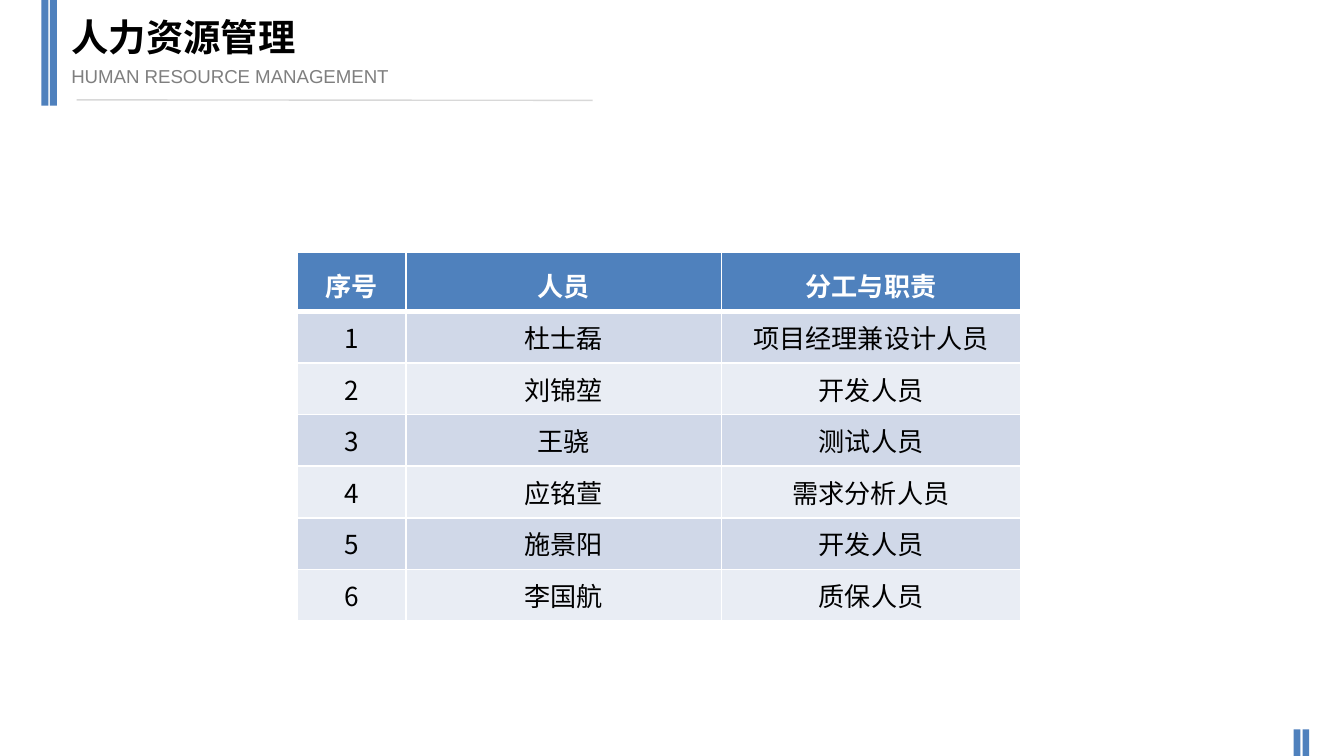
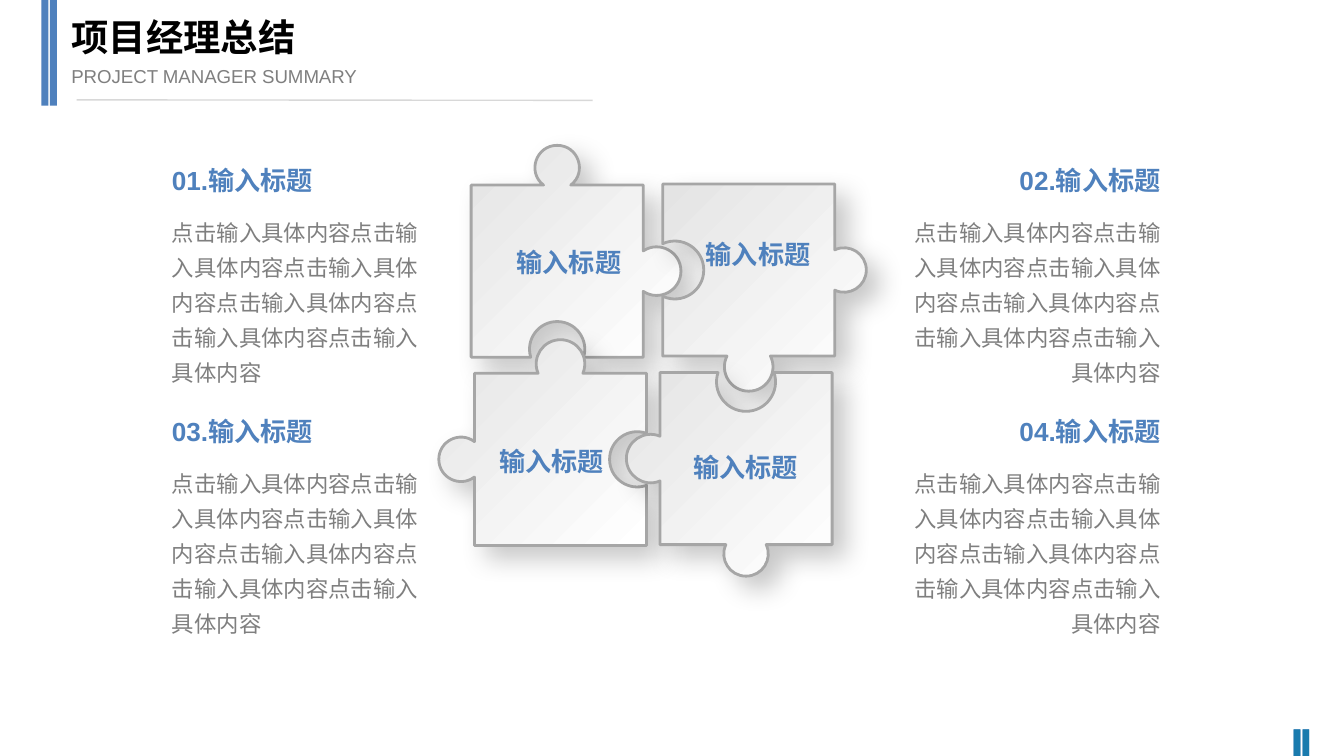
"""Build two project slides: a staffing table and a four-piece puzzle summary."""
from math import acos, cos, pi, sin, tan

from lxml.etree import SubElement
from pptx import Presentation
from pptx.dml.color import RGBColor
from pptx.enum.shapes import MSO_CONNECTOR, MSO_SHAPE
from pptx.enum.text import MSO_ANCHOR, MSO_AUTO_SIZE, PP_ALIGN
from pptx.oxml import parse_xml
from pptx.oxml.ns import nsdecls, qn
from pptx.util import Pt

BLUE = RGBColor(0x4F, 0x81, 0xBD)
TEAL = RGBColor(0x1A, 0x7B, 0xAE)
BLACK = RGBColor(0, 0, 0)
WHITE = RGBColor(0xFF, 0xFF, 0xFF)
TEXT_GREY = RGBColor(0x7F, 0x7F, 0x7F)
RULE_GREY = RGBColor(0xD8, 0xD8, 0xD8)
EDGE_GREY = RGBColor(0xA6, 0xA6, 0xA6)
PIECE_GREY = RGBColor(0xE4, 0xE4, 0xE4)
ROW_DARK = RGBColor(0xD0, 0xD8, 0xE8)
ROW_LIGHT = RGBColor(0xE9, 0xED, 0xF4)
LATIN_FONT = "Arial"
CJK_FONT = "Noto Sans CJK SC"


def write(frame, text, size, color, bold=False, align=PP_ALIGN.LEFT, font=LATIN_FONT):
    paragraph = frame.paragraphs[0]
    paragraph.alignment = align
    run = paragraph.add_run()
    run.text = text
    run.font.size = Pt(size)
    run.font.name = font
    run.font.bold = bold
    run.font.color.rgb = color
    return paragraph


def add_text_box(slide, left, top, width, height):
    frame = slide.shapes.add_textbox(Pt(left), Pt(top), Pt(width), Pt(height)).text_frame
    frame.word_wrap = True
    frame.auto_size = MSO_AUTO_SIZE.SHAPE_TO_FIT_TEXT
    return frame


presentation = Presentation()
presentation.slide_width = Pt(720)
presentation.slide_height = Pt(405)
header_layout = presentation.slide_layouts[2]
staff_slide = presentation.slides.add_slide(header_layout)
summary_slide = presentation.slides.add_slide(header_layout)
layout_tree = header_layout.shapes._spTree

HEADER_BARS = [(22.2, 0, 3.8, 56.7), (26.8, 0, 3.8, 56.7)]
CORNER_BARS = [(693, 390.8, 3.6, 14.2), (697.8, 390.8, 3.6, 14.2)]
BAR_SETS = [
    (staff_slide, HEADER_BARS + CORNER_BARS, BLUE, True),
    (summary_slide, CORNER_BARS, TEAL, False),
]
for slide, bars, color, is_shared in BAR_SETS:
    for left, top, width, height in bars:
        bar = slide.shapes.add_shape(MSO_SHAPE.RECTANGLE, Pt(left), Pt(top), Pt(width), Pt(height))
        bar.shadow.inherit = False
        bar.fill.solid()
        bar.fill.fore_color.rgb = color
        bar.line.fill.background()
        if is_shared:
            layout_tree.append(bar._element)

rule = staff_slide.shapes.add_connector(MSO_CONNECTOR.STRAIGHT, Pt(41), Pt(53.5), Pt(317.5), Pt(53.8))
rule.line.color.rgb = RULE_GREY
rule.line.width = Pt(0.75)
SubElement(rule._element.spPr, qn("a:effectLst"))
layout_tree.append(rule._element)

HEADINGS = [
    (staff_slide, "人力资源管理", "HUMAN RESOURCE MANAGEMENT"),
    (summary_slide, "项目经理总结", "PROJECT MANAGER SUMMARY"),
]
for slide, title, subtitle in HEADINGS:
    heading_places = [
        (slide.shapes.title, title, 4.2, 291, 36, 20, BLACK, True, MSO_ANCHOR.TOP),
        (slide.placeholders[1], subtitle, 31, 227, 19.4, 10, TEXT_GREY, False, MSO_ANCHOR.MIDDLE),
    ]
    for shape, text, top, width, height, size, color, bold, anchor in heading_places:
        shape.left, shape.top, shape.width, shape.height = Pt(31), Pt(top), Pt(width), Pt(height)
        frame = shape.text_frame
        frame.auto_size = MSO_AUTO_SIZE.NONE
        frame.vertical_anchor = anchor
        write(frame, text, size, color, bold).space_before = Pt(0)

STAFF = [
    ("序号", "人员", "分工与职责"),
    ("1", "杜士磊", "项目经理兼设计人员"),
    ("2", "刘锦堃", "开发人员"),
    ("3", "王骁", "测试人员"),
    ("4", "应铭萱", "需求分析人员"),
    ("5", "施景阳", "开发人员"),
    ("6", "李国航", "质保人员"),
]
COLUMN_WIDTHS = [58.3, 169, 160.2]
HEADER_HEIGHT, ROW_HEIGHT = 31.5, 27.65
staff_table = staff_slide.shapes.add_table(
    len(STAFF), len(COLUMN_WIDTHS), Pt(159.3), Pt(135.1),
    Pt(sum(COLUMN_WIDTHS)), Pt(HEADER_HEIGHT + ROW_HEIGHT * (len(STAFF) - 1)),
).table
for column, width in zip(staff_table.columns, COLUMN_WIDTHS):
    column.width = Pt(width)
for row_index, values in enumerate(STAFF):
    is_header = row_index == 0
    staff_table.rows[row_index].height = Pt(HEADER_HEIGHT if is_header else ROW_HEIGHT)
    row_color = BLUE if is_header else ROW_DARK if row_index % 2 else ROW_LIGHT
    for column_index, value in enumerate(values):
        cell = staff_table.cell(row_index, column_index)
        paragraph = write(
            cell.text_frame, value, 14, WHITE if is_header else BLACK, is_header,
            PP_ALIGN.CENTER, LATIN_FONT if is_header else CJK_FONT,
        )
        if is_header:
            paragraph.line_spacing = 1.2
        borders = {
            "lnL": 1,
            "lnR": 1,
            "lnT": 3 if row_index == 1 else 1,
            "lnB": 3 if is_header else 1,
        }
        for side, weight in borders.items():
            cell._tc.get_or_add_tcPr().append(parse_xml(
                f'<a:{side} {nsdecls("a")} w="{Pt(weight)}"><a:solidFill>'
                f'<a:srgbClr val="{WHITE}"/></a:solidFill></a:{side}>'
            ))
        cell.fill.solid()
        cell.fill.fore_color.rgb = row_color

PIECE_SIDE = 92.2
DIRECTIONS = {"top": (1, 0), "right": (0, 1), "bottom": (-1, 0), "left": (0, -1)}
PIECES = [
    (252.4, 99.2, {"top": (9.4, 11.9), "right": (7.2, 13), "bottom": (-4.3, 14.8)}, 265.2, 128.6),
    (254.2, 200, {"top": (5, 13), "right": (-5, 14.8), "left": (7.2, 11.9)}, 255.9, 235),
    (355, 98.6, {"right": (5, 11.9), "bottom": (5.8, 13), "left": (-6.5, 15.5)}, 366.6, 124),
    (353.6, 199.6, {"top": (-5, 15.8), "bottom": (5, 11.9), "left": (5, 13)}, 359.8, 238.2),
]
for left, top, knobs, label_left, label_top in PIECES:
    half = PIECE_SIDE / 2
    center_x, center_y = left + half, top + half
    outline, curve_starts = [], []
    for side, (along_x, along_y) in DIRECTIONS.items():
        local_points = [(-half, half)]
        if side in knobs:
            offset, radius = knobs[side]
            direction = 1 if offset > 0 else -1
            reach = pi - acos(abs(offset) / radius)
            handle = 4 / 3 * tan(reach / 4)
            arc = [(-reach, 0), (-reach, handle), (0, -handle), (0, 0),
                   (0, handle), (reach, -handle), (reach, 0)]
            first = len(outline) + 1
            curve_starts += [first + 1, first + 4]
            for angle, pull in arc:
                along = radius * (sin(angle) + pull * cos(angle))
                out = radius * (cos(angle) - pull * sin(angle))
                local_points.append((along, half + offset + direction * out))
        for along, out in local_points:
            outline.append((
                Pt(center_x + along * along_x + out * along_y),
                Pt(center_y + along * along_y - out * along_x),
            ))
    builder = summary_slide.shapes.build_freeform(*outline[0])
    builder.add_line_segments(outline[1:], close=True)
    piece = builder.convert_to_shape()
    segments = list(next(piece._element.iter(qn("a:path"))))
    for start in curve_starts:
        curve = segments[start]
        curve.tag = qn("a:cubicBezTo")
        for segment in segments[start + 1:start + 3]:
            curve.append(segment[0])
            segment.getparent().remove(segment)
    piece.fill.gradient()
    piece.fill.gradient_angle = 315
    for stop, color in zip(piece.fill.gradient_stops, (PIECE_GREY, WHITE)):
        stop.color.rgb = color
    piece.line.color.rgb = EDGE_GREY
    piece.line.width = Pt(1.5)
    piece._element.spPr.append(parse_xml(
        f'<a:effectLst {nsdecls("a")}><a:outerShdw blurRad="{Pt(14)}" dist="{Pt(9)}" '
        f'dir="2700000" algn="tl" rotWithShape="0"><a:srgbClr val="{BLACK}">'
        '<a:alpha val="22000"/></a:srgbClr></a:outerShdw></a:effectLst>'
    ))
    label = add_text_box(summary_slide, label_left, label_top, 79.2, 24.5)
    write(label, "输入标题", 14, BLUE, True, PP_ALIGN.CENTER)

NOTE_TEXT = "点击输入具体内容" * 6
NOTES = [
    ("01", 85, 84.5, PP_ALIGN.LEFT),
    ("03", 85, 219, PP_ALIGN.LEFT),
    ("02", 476.3, 84.5, PP_ALIGN.RIGHT),
    ("04", 476.3, 219, PP_ALIGN.RIGHT),
]
for number, left, top, align in NOTES:
    note_title = add_text_box(summary_slide, left, top, 152.6, 24.5)
    write(note_title, f"{number}.输入标题", 14, BLUE, True, align)
    note_body = add_text_box(summary_slide, left, top + 25.1, 152.6, 100)
    paragraph = write(note_body, NOTE_TEXT, 12, TEXT_GREY, align=align)
    paragraph.line_spacing = 1.3
    paragraph.space_before = Pt(6)

presentation.save("out.pptx")
